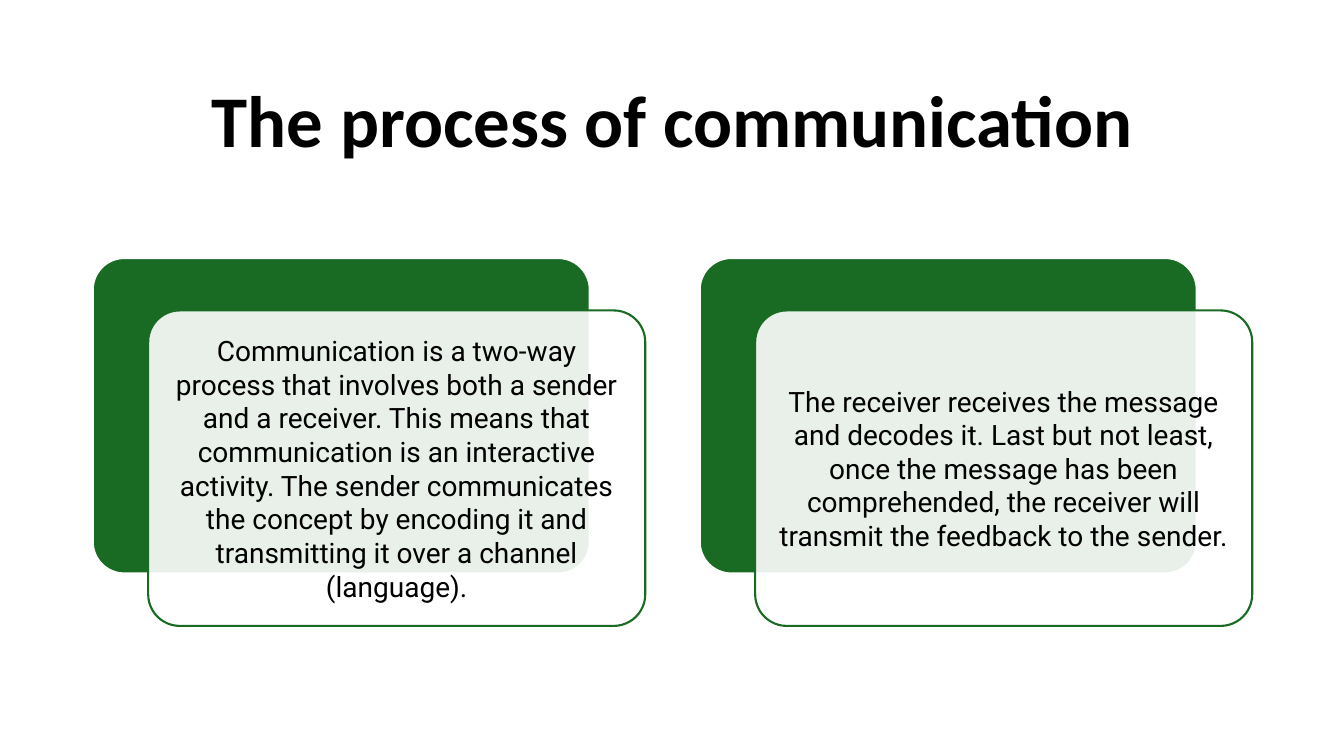
"""Build a slide on the process of communication with two layered text cards."""
from dataclasses import dataclass

from lxml import etree
from pptx import Presentation
from pptx import util as u
from pptx.dml.color import RGBColor
from pptx.enum import shapes, text
from pptx.oxml.ns import qn


@dataclass(frozen=True)
class Theme:
    green: str = "196B24"
    white: str = "FFFFFF"
    black: str = "000000"
    title_font: str = "Calibri"
    body_font: str = "Roboto"
    title_size: float = 52
    body_size: float = 20
    line_width: float = 1.5
    corner: float = 0.1
    card_opacity: int = 90


def write_text(frame, content, *, font, size, color, bold=False, line_spacing=1.0, inset=None):
    frame.word_wrap = True
    frame.auto_size = text.MSO_AUTO_SIZE.NONE
    frame.vertical_anchor = text.MSO_ANCHOR.MIDDLE
    if inset is not None:
        frame.margin_left = frame.margin_right = u.Inches(inset)
        frame.margin_top = frame.margin_bottom = u.Inches(inset)
    paragraph = frame.paragraphs[0]
    paragraph.alignment = text.PP_ALIGN.CENTER
    paragraph.line_spacing = line_spacing
    run = paragraph.add_run()
    run.text = content
    run.font.name = font
    run.font.size = u.Pt(size)
    run.font.bold = bold
    run.font.color.rgb = RGBColor.from_string(color)


class SlideBuilder:
    def __init__(self, slide, theme):
        self.slide = slide
        self.theme = theme

    def title(self, content, left, top, width, height):
        title = self.slide.shapes.title
        title.left, title.top = u.Inches(left), u.Inches(top)
        title.width, title.height = u.Inches(width), u.Inches(height)
        write_text(title.text_frame, content, font=self.theme.title_font,
                   size=self.theme.title_size, color=self.theme.black,
                   bold=True, line_spacing=0.9)

    def panel(self, left, top, width, height, fill, line, opacity=100):
        shape = self.slide.shapes.add_shape(
            shapes.MSO_SHAPE.ROUNDED_RECTANGLE,
            u.Inches(left), u.Inches(top), u.Inches(width), u.Inches(height))
        shape.adjustments[0] = self.theme.corner
        shape.shadow.inherit = False
        shape.fill.solid()
        shape.fill.fore_color.rgb = RGBColor.from_string(fill)
        shape.line.color.rgb = RGBColor.from_string(line)
        shape.line.width = u.Pt(self.theme.line_width)
        if opacity < 100:
            color = shape._element.spPr.find(qn("a:solidFill")).find(qn("a:srgbClr"))
            etree.SubElement(color, qn("a:alpha")).set("val", str(opacity * 1000))
        return shape

    def layered_card(self, content, left, top, width=4.93, height=3.13,
                     shift_x=0.55, shift_y=0.52):
        theme = self.theme
        self.panel(left, top, width, height, theme.green, theme.white)
        card = self.panel(left + shift_x, top + shift_y, width, height,
                          theme.white, theme.green, theme.card_opacity)
        write_text(card.text_frame, content, font=theme.body_font,
                   size=theme.body_size, color=theme.black, inset=0.08)


def main():
    presentation = Presentation()
    presentation.slide_width = u.Inches(13.33)
    presentation.slide_height = u.Inches(7.5)
    slide = presentation.slides.add_slide(presentation.slide_layouts[5])
    builder = SlideBuilder(slide, Theme())

    builder.title("The process of communication", 0.92, 0.61, 11.5, 1.24)
    messages = (
        "Communication is a two-way process that involves both a sender and a receiver. "
        "This means that communication is an interactive activity. The sender communicates "
        "the concept by encoding it and transmitting it over a channel (language).",
        "The receiver receives the message and decodes it. Last but not least, once the "
        "message has been comprehended, the receiver will transmit the feedback to the sender.",
    )
    for column, message in enumerate(messages):
        builder.layered_card(message, left=0.92 + column * 6.02, top=2.56)

    presentation.save("out.pptx")


if __name__ == "__main__":
    main()
